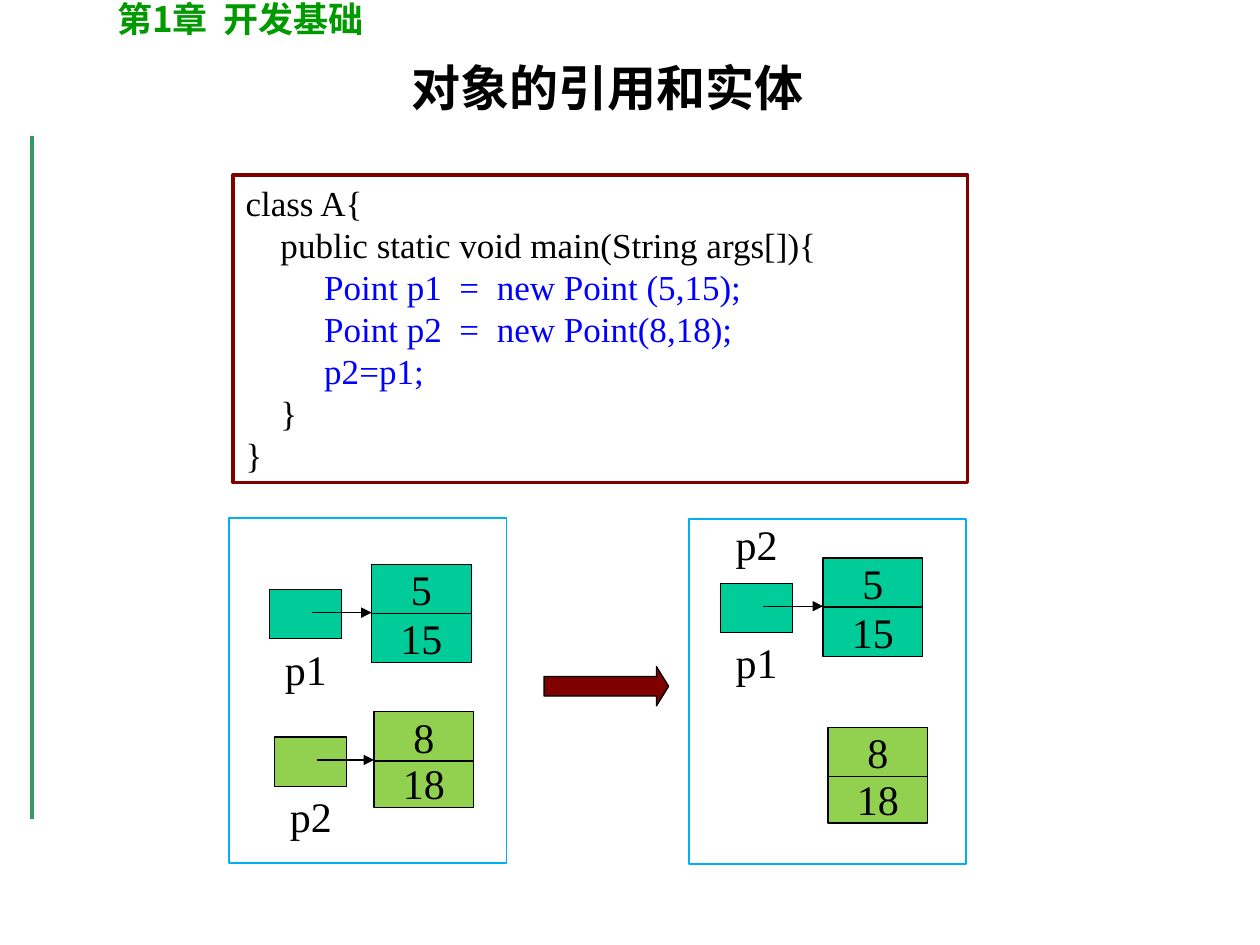
from lxml.etree import SubElement
from pptx import Presentation
from pptx.dml.color import RGBColor
from pptx.enum.shapes import MSO_CONNECTOR, MSO_SHAPE
from pptx.enum.text import MSO_ANCHOR, PP_ALIGN
from pptx.oxml.ns import qn
from pptx.util import Cm, Pt

COLORS = {
    "black": "000000", "code": "0000FF", "chapter": "009900", "rule": "339966",
    "maroon": "800000", "panel": "00B0F0", "teal": "00CC99", "lime": "92D050",
}
SERIF, SANS = "Times New Roman", "Noto Sans CJK SC"

CHAPTER = [("第", SERIF), ("1", SANS), ("章", SERIF), ("  开发", SANS), ("基础", SERIF)]
TITLE = "对象的引用和实体"
CODE = [
    ("class A{", "black"),
    ("    public static void main(String args[]){", "black"),
    ("         Point p1  =  new Point (5,15);", "code"),
    ("         Point p2  =  new Point(8,18);", "code"),
    ("         p2=p1;", "code"),
    ("    }", "black"),
    ("}", "black"),
]
PANELS = [(4.62, 10.44), (13.89, 10.46)]
# Objects in memory: left, top, row step, colour, field values
OBJECTS = [
    (7.49, 11.38, 0.99, "teal", ("5", "15")),
    (7.54, 14.35, 0.94, "lime", ("8", "18")),
    (16.59, 11.25, 0.99, "teal", ("5", "15")),
    (16.69, 14.66, 0.94, "lime", ("8", "18")),
]
# References: left, top, colour, left edge of the target, names below and above
REFERENCES = [
    (5.44, 11.89, "teal", 7.49, "p1", None),
    (5.54, 14.86, "lime", 7.54, "p2", None),
    (14.53, 11.76, "teal", 16.59, "p1", "p2"),
]
FIELD_W, REF_W, CELL_H = 2.01, 1.45, 0.99
LABEL_BELOW, LABEL_ABOVE = 1.09, -1.3
ARROW_DX, ARROW_DY = 0.85, 0.46


def rgb(name):
    return RGBColor.from_string(COLORS[name])


def add_span(para, text, size, color="black", font=SERIF, bold=False):
    span = para.add_run()
    span.text = text
    span.font.size = Pt(size)
    span.font.name = font
    span.font.bold = bold
    span.font.color.rgb = rgb(color)
    SubElement(span.font._element, qn("a:ea"), typeface=SANS)


def add_text_box(page, left, top, width, height):
    box = page.shapes.add_textbox(Cm(left), Cm(top), Cm(width), Cm(height))
    box.text_frame.word_wrap = True
    return box


def add_shape(page, kind, left, top, width, height, fill, line, weight):
    shape = page.shapes.add_shape(kind, Cm(left), Cm(top), Cm(width), Cm(height))
    shape.shadow.inherit = False
    if fill:
        shape.fill.solid()
        shape.fill.fore_color.rgb = rgb(fill)
    else:
        shape.fill.background()
    shape.line.color.rgb = rgb(line)
    shape.line.width = Pt(weight)
    return shape


def add_line(page, x1, y1, x2, y2, color, weight, arrow=False):
    line = page.shapes.add_connector(
        MSO_CONNECTOR.STRAIGHT, Cm(x1), Cm(y1), Cm(x2), Cm(y2))
    line.line.color.rgb = rgb(color)
    line.line.width = Pt(weight)
    if arrow:
        SubElement(line.line._get_or_add_ln(), qn("a:tailEnd"), type="triangle")
    SubElement(line._element.spPr, qn("a:effectLst"))


def put_centred(box, text, size, wrap=False, **style):
    frame = box.text_frame
    frame.word_wrap = wrap
    frame.vertical_anchor = MSO_ANCHOR.MIDDLE
    para = frame.paragraphs[0]
    para.alignment = PP_ALIGN.CENTER
    add_span(para, text, size, **style)


def add_headings(page):
    add_line(page, 0.64, 2.74, 0.64, 16.51, "rule", 2.25)
    para = add_text_box(page, 2.11, -0.18, 14.6, 1.12).text_frame.paragraphs[0]
    for text, font in CHAPTER:
        add_span(para, text, 20, "chapter", font, bold=True)
    title = add_text_box(page, 2.51, 0.97, 19.48, 1.57)
    put_centred(title, TITLE, 28, wrap=True, font=SANS, bold=True)


def add_code(page):
    box = add_shape(page, MSO_SHAPE.RECTANGLE, 4.7, 3.53, 14.81, 6.2, None, "maroon", 2)
    frame = box.text_frame
    frame.word_wrap = True
    frame.vertical_anchor = MSO_ANCHOR.TOP
    for index, (text, color) in enumerate(CODE):
        para = frame.add_paragraph() if index else frame.paragraphs[0]
        para.alignment = PP_ALIGN.LEFT
        add_span(para, text, 20, color)


def add_object(page, left, top, step, color, values):
    """Stack the fields from the bottom up, so upper ones overlap lower ones."""
    for row, value in reversed(list(enumerate(values))):
        field = add_shape(page, MSO_SHAPE.RECTANGLE, left, top + row * step,
                          FIELD_W, CELL_H, color, "black", 0.75)
        put_centred(field, value, 24)


def add_reference(page, left, top, color, target, below, above):
    add_shape(page, MSO_SHAPE.RECTANGLE, left, top, REF_W, CELL_H, color, "black", 0.75)
    arrow_y = top + ARROW_DY
    add_line(page, left + ARROW_DX, arrow_y, target, arrow_y, "black", 0.75, arrow=True)
    for name, offset in ((below, LABEL_BELOW), (above, LABEL_ABOVE)):
        if name:
            label = add_text_box(page, left, top + offset, REF_W, CELL_H)
            put_centred(label, name, 24)


def main():
    deck = Presentation()
    deck.slide_width, deck.slide_height = Cm(25.4), Cm(19.05)
    page = deck.slides.add_slide(deck.slide_layouts[6])
    add_headings(page)
    add_code(page)
    for left, top in PANELS:
        add_shape(page, MSO_SHAPE.RECTANGLE, left, top, 5.59, 6.96, None, "panel", 1)
    for item in OBJECTS:
        add_object(page, *item)
    for item in REFERENCES:
        add_reference(page, *item)
    step_arrow = add_shape(page, MSO_SHAPE.RIGHT_ARROW, 10.97, 13.44, 2.51, 0.79,
                           "maroon", "black", 0.75)
    step_arrow.adjustments[1] = 0.31
    deck.save("out.pptx")


if __name__ == "__main__":
    main()
